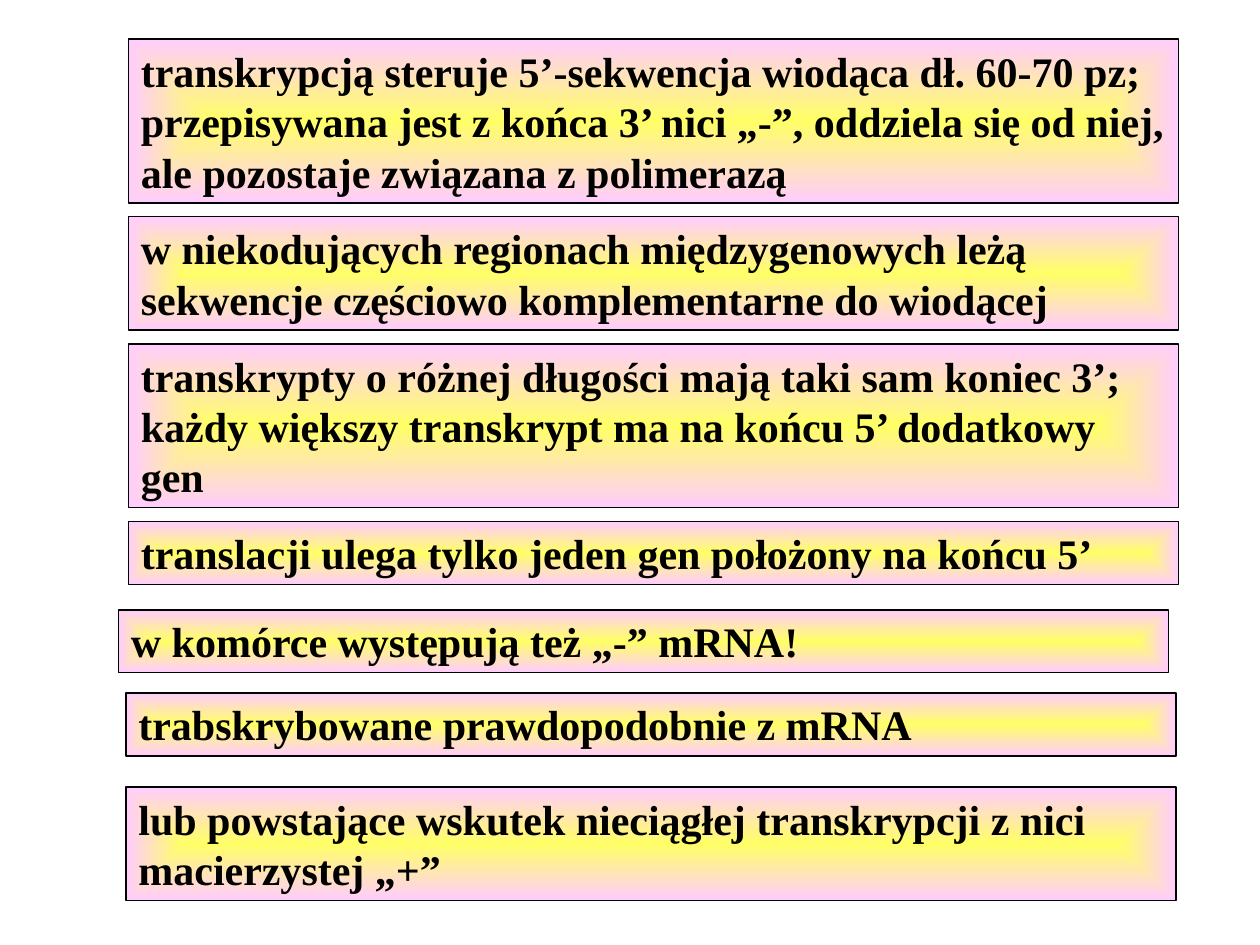
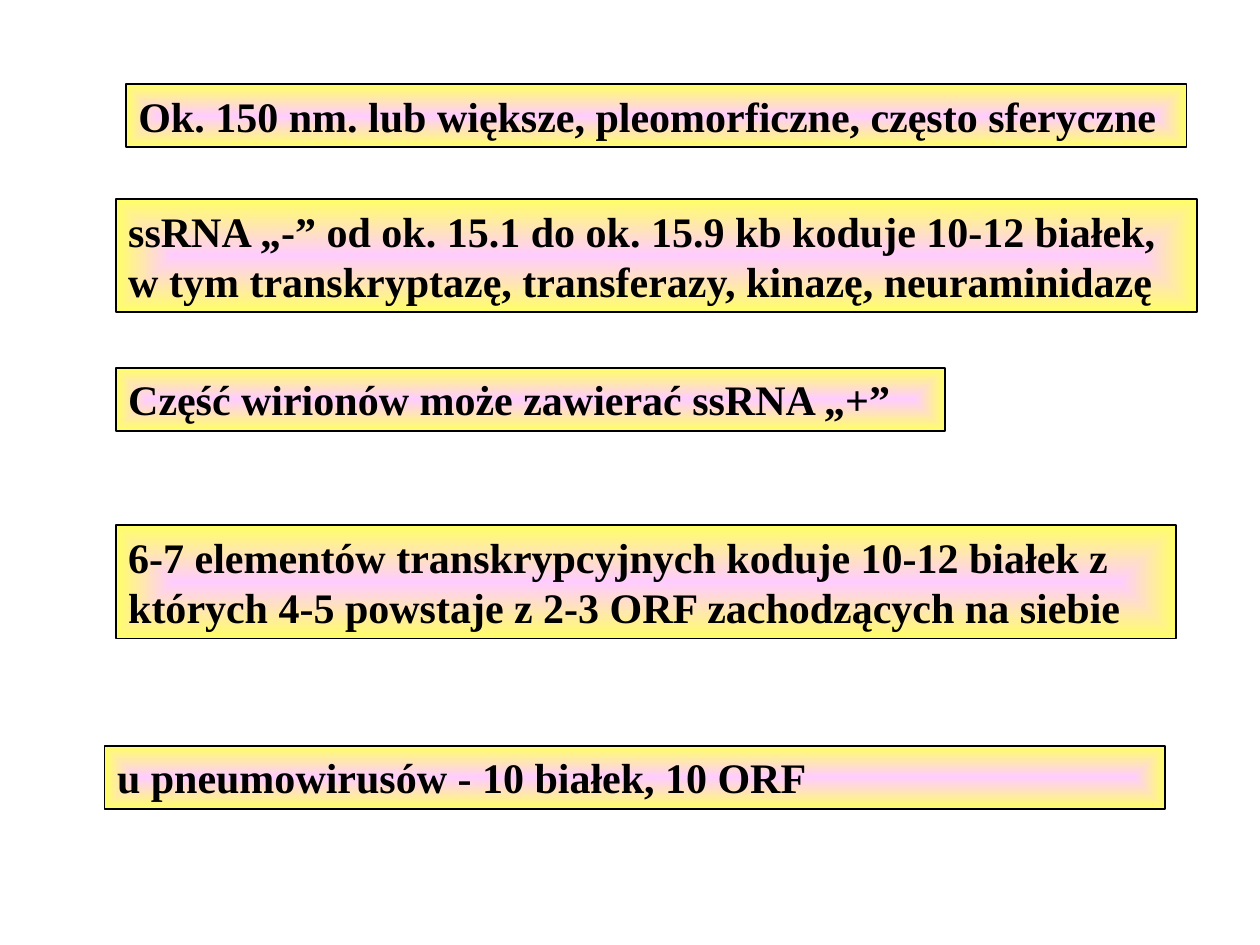
from lxml import etree
from pptx import Presentation
from pptx.dml.color import RGBColor
from pptx.enum.shapes import MSO_SHAPE
from pptx.enum.text import MSO_ANCHOR, MSO_AUTO_SIZE, PP_ALIGN
from pptx.oxml import parse_xml
from pptx.oxml.ns import nsdecls, qn
from pptx.util import Pt

RECTANGLE = MSO_SHAPE.RECTANGLE
YELLOW, PINK, BLACK = "FFFF66", "FFCCFF", "000000"
LINE_HEIGHT = 28.8
INSET_X, INSET_Y = 7.2, 3.6

# gap above, left, width, line count, text
SLIDES = [
    {
        "center": YELLOW,
        "edge": PINK,
        "notes": [
            (22.3, 73.4, 600, 3, "transkrypcją steruje 5’-sekwencja wiodąca dł. 60-70 pz; "
             "przepisywana jest z końca 3’ nici „-”, oddziela się od niej, "
             "ale pozostaje związana z polimerazą"),
            (7.9, 73.4, 600, 2, "w niekodujących regionach międzygenowych leżą "
             "sekwencje częściowo komplementarne do wiodącej"),
            (7.9, 73.4, 600, 3, "transkrypty o różnej długości mają taki sam koniec 3’; "
             "każdy większy transkrypt ma na końcu 5’ dodatkowy gen"),
            (7.9, 73.4, 600, 1, "translacji ulega tylko jeden gen położony na końcu 5’"),
            (14.4, 67.7, 600, 1, "w komórce występują też „-” mRNA!"),
            (11.5, 72, 600, 1, "trabskrybowane prawdopodobnie z mRNA"),
            (18, 72, 600, 2, "lub powstające wskutek nieciągłej transkrypcji z nici "
             "macierzystej „+”"),
        ],
    },
    {
        "center": PINK,
        "edge": YELLOW,
        "notes": [
            (48.2, 72, 606, 1, "Ok. 150 nm. lub większe, pleomorficzne, często sferyczne"),
            (29.5, 66.2, 618, 2, "ssRNA „-” od ok. 15.1 do ok. 15.9 kb koduje 10-12 białek, "
             "w tym transkryptazę, transferazy, kinazę, neuraminidazę"),
            (31.7, 66.2, 474, 1, "Część wirionów może zawierać ssRNA „+”"),
            (54, 66.2, 606, 2, "6-7 elementów transkrypcyjnych koduje 10-12 białek z "
             "których 4-5 powstaje z 2-3 ORF zachodzących na siebie"),
            (61.2, 59.8, 606, 1, "u pneumowirusów - 10 białek, 10 ORF"),
        ],
    },
]

FRAME_FORMAT = {
    "word_wrap": True,
    "auto_size": MSO_AUTO_SIZE.SHAPE_TO_FIT_TEXT,
    "vertical_anchor": MSO_ANCHOR.TOP,
    "margin_left": Pt(INSET_X),
    "margin_right": Pt(INSET_X),
    "margin_top": Pt(INSET_Y),
    "margin_bottom": Pt(INSET_Y),
}
FONT_FORMAT = {"name": "Times New Roman", "size": Pt(24), "bold": True}


def color(value):
    return RGBColor.from_string(value)


def apply_format(target, values):
    for name, value in values.items():
        setattr(target, name, value)


def fill_from_center(box, center, edge):
    box.fill.background()
    gradient = parse_xml(f'<a:gradFill {nsdecls("a")} rotWithShape="1"><a:gsLst/></a:gradFill>')
    for position, value in ((0, center), (100000, edge)):
        stop = etree.SubElement(gradient[0], qn("a:gs"), pos=str(position))
        etree.SubElement(stop, qn("a:srgbClr"), val=value)
    focus = etree.SubElement(gradient, qn("a:path"), path="rect")
    etree.SubElement(focus, qn("a:fillToRect"), dict.fromkeys("ltrb", "50000"))
    properties = box._element.spPr
    properties.replace(properties.find(qn("a:noFill")), gradient)


def add_note(page, left, top, width, height, text, center, edge):
    box = page.shapes.add_shape(RECTANGLE, Pt(left), Pt(top), Pt(width), Pt(height))
    box.shadow.inherit = False
    fill_from_center(box, center, edge)
    box.line.color.rgb = color(BLACK)
    box.line.width = Pt(1)
    apply_format(box.text_frame, FRAME_FORMAT)
    para = box.text_frame.paragraphs[0]
    para.alignment = PP_ALIGN.LEFT
    span = para.add_run()
    span.text = text
    apply_format(span.font, FONT_FORMAT)
    span.font.color.rgb = color(BLACK)


def main():
    deck = Presentation()
    deck.slide_width, deck.slide_height = Pt(720), Pt(540)
    for content in SLIDES:
        page = deck.slides.add_slide(deck.slide_layouts[6])
        bottom = 0
        for gap, left, width, lines, text in content["notes"]:
            top = bottom + gap
            height = lines * LINE_HEIGHT + 2 * INSET_Y
            add_note(page, left, top, width, height, text, content["center"], content["edge"])
            bottom = top + height
    deck.save("out.pptx")


if __name__ == "__main__":
    main()
